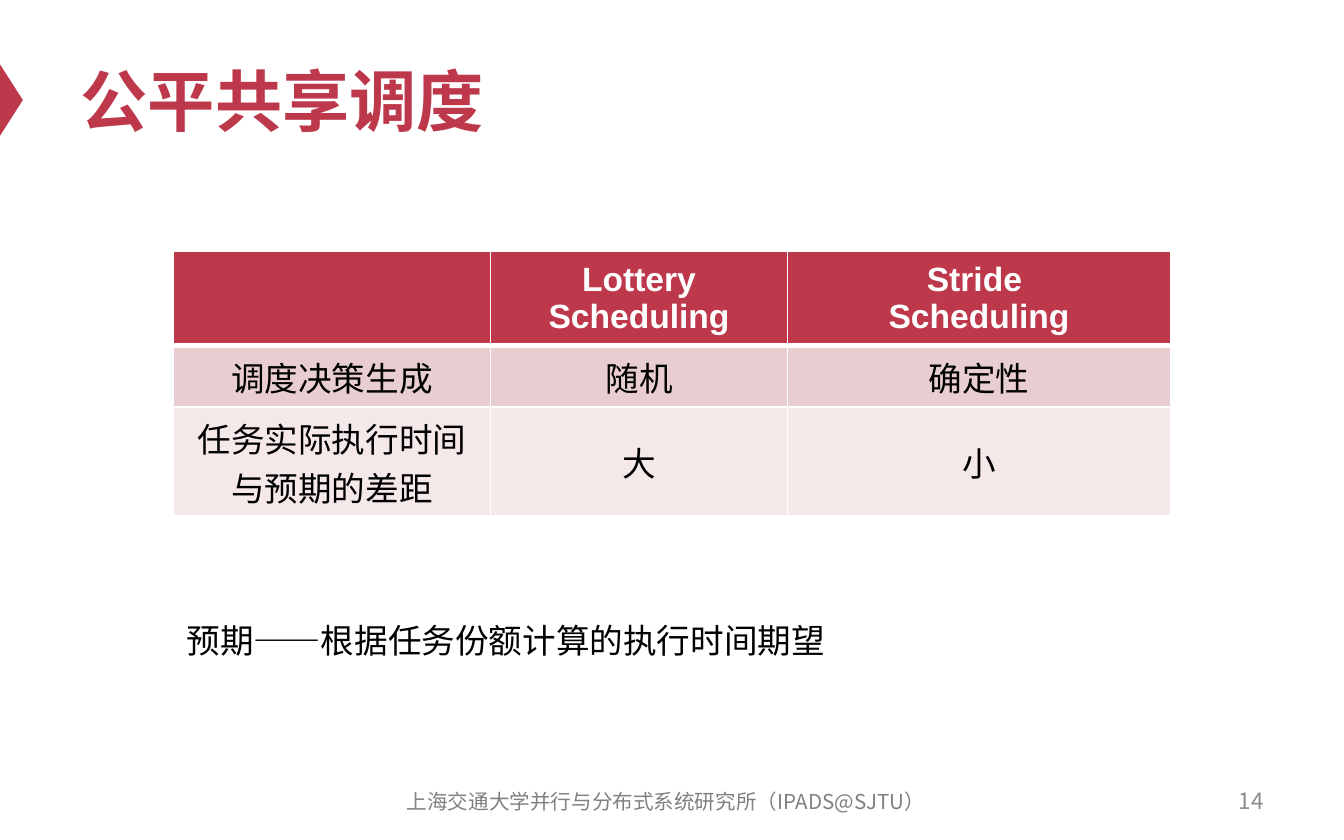
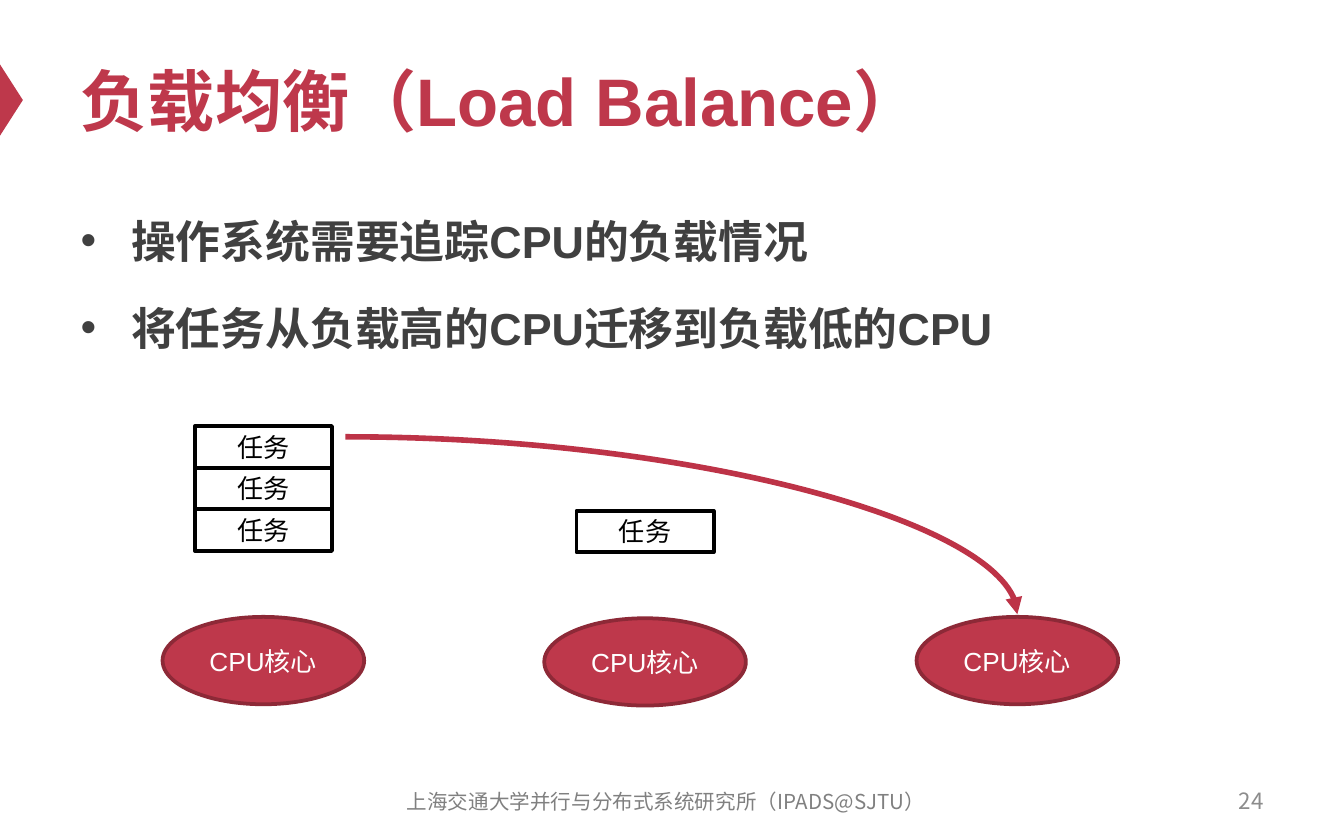
from dataclasses import dataclass

from lxml import etree
from pptx import Presentation
from pptx.dml.color import RGBColor
from pptx.enum.shapes import MSO_CONNECTOR, MSO_SHAPE
from pptx.enum.text import MSO_ANCHOR, MSO_AUTO_SIZE, PP_ALIGN
from pptx.oxml.ns import qn
from pptx.util import Emu, Pt

PX = 9144
LEFT, CENTER, RIGHT = PP_ALIGN.LEFT, PP_ALIGN.CENTER, PP_ALIGN.RIGHT
TOP, MIDDLE = MSO_ANCHOR.TOP, MSO_ANCHOR.MIDDLE
RECTANGLE, OVAL = MSO_SHAPE.RECTANGLE, MSO_SHAPE.OVAL
TRIANGLE = MSO_SHAPE.ISOSCELES_TRIANGLE
CURVE = MSO_CONNECTOR.CURVE
FIT_SHAPE, NO_FIT = MSO_AUTO_SIZE.SHAPE_TO_FIT_TEXT, MSO_AUTO_SIZE.NONE
TITLE_ONLY, TITLE_AND_CONTENT = 5, 1


@dataclass(frozen=True)
class TextStyle:
    """Font settings of one kind of text."""

    size: int
    color: str
    bold: bool = False
    font: str = "Arial"


@dataclass(frozen=True)
class Theme:
    """Colours and type styles shared by the slides."""

    cjk_font: str = "Noto Sans CJK SC"
    red: str = "BE384B"
    dark_red: str = "8D2937"
    arrow_red: str = "BD3347"
    black: str = "000000"
    white: str = "FFFFFF"
    bands: tuple = ("E8CED0", "F4E8E9")
    title: TextStyle = TextStyle(36, "BE384B", True)
    bullet: TextStyle = TextStyle(24, "404040", True)
    header: TextStyle = TextStyle(18, "FFFFFF", True)
    body: TextStyle = TextStyle(18, "000000")
    task: TextStyle = TextStyle(14, "000000")
    core: TextStyle = TextStyle(14, "FFFFFF")
    footer: TextStyle = TextStyle(11, "808080", font="Noto Sans CJK SC")
    number: TextStyle = TextStyle(12, "8C8C8C", font="Noto Sans CJK SC")


THEME = Theme()


def px(*lengths):
    """Turn px lengths into EMU."""
    return [Emu(length * PX) for length in lengths]


def rgb(color):
    """Read a colour from its hex digits."""
    return RGBColor.from_string(color)


def write(frame, text, style, align=LEFT, anchor=MIDDLE):
    """Fill a text frame, one paragraph per line, in one style."""
    frame.text = text
    frame.vertical_anchor = anchor
    for paragraph in frame.paragraphs:
        paragraph.alignment = align
        font = paragraph.font
        font.name, font.size, font.bold = style.font, Pt(style.size), style.bold
        font.color.rgb = rgb(style.color)
        defaults = paragraph._p.pPr.find(qn("a:defRPr"))
        etree.SubElement(defaults, qn("a:ea"), typeface=THEME.cjk_font)


def place(shape, box):
    """Move and size a shape."""
    shape.left, shape.top, shape.width, shape.height = px(*box)


def add_label(slide, box, text, style, align=LEFT, anchor=MIDDLE, wrap=True):
    """Add a text box; without wrapping it grows with its text."""
    frame = slide.shapes.add_textbox(*px(*box)).text_frame
    write(frame, text, style, align, anchor)
    frame.word_wrap = wrap
    if not wrap:
        frame.auto_size = FIT_SHAPE


def add_figure(slide, preset, box, fill=None, outline=None):
    """Add a flat preset shape with optional fill and outline."""
    figure = slide.shapes.add_shape(preset, *px(*box))
    figure.shadow.inherit = False
    if fill:
        figure.fill.solid()
        figure.fill.fore_color.rgb = rgb(fill)
    else:
        figure.fill.background()
    if outline:
        figure.line.color.rgb = rgb(outline)
        figure.line.width = Pt(2)
    else:
        figure.line.fill.background()
    return figure


def add_task(slide, left, top):
    """Add one outlined task box."""
    task = add_figure(slide, RECTANGLE, (left, top, 102, 31), outline=THEME.black)
    write(task.text_frame, "任务", THEME.task, CENTER)


def add_core(slide, left, top):
    """Add one CPU core."""
    core = add_figure(slide, OVAL, (left, top, 150, 65), THEME.red, THEME.dark_red)
    write(core.text_frame, "CPU核心", THEME.core, CENTER)


def add_migration_arrow(slide, start, end):
    """Add a quarter-curve arrow that leaves sideways and lands downwards."""
    arrow = slide.shapes.add_connector(CURVE, *px(*start, *end))
    arrow.line.color.rgb = rgb(THEME.arrow_red)
    arrow.line.width = Pt(3)
    properties = arrow._element.spPr
    properties.find(qn("a:prstGeom")).set("prst", "curvedConnector2")
    etree.SubElement(properties.find(qn("a:ln")), qn("a:tailEnd"), type="triangle")
    etree.SubElement(properties, qn("a:effectLst"))


def set_borders(cell, widths):
    """Give a cell white borders with the widths by side."""
    cell_properties = cell._tc.get_or_add_tcPr()
    for side, width in widths.items():
        border = etree.SubElement(
            cell_properties, qn(f"a:ln{side}"), w=str(Pt(width))
        )
        fill = etree.SubElement(border, qn("a:solidFill"))
        etree.SubElement(fill, qn("a:srgbClr"), val=THEME.white)


def add_comparison(slide, left, top, widths, heights, rows):
    """Add a table with a red header and tinted rows."""
    box = px(left, top, sum(widths), sum(heights))
    table = slide.shapes.add_table(len(rows), len(widths), *box).table
    for column, width in zip(table.columns, px(*widths)):
        column.width = width
    for row, height in zip(table.rows, px(*heights)):
        row.height = height
    fills = (THEME.red, *THEME.bands)
    for r, texts in enumerate(rows):
        style = THEME.body if r else THEME.header
        sides = {"L": 1, "R": 1, "T": 3 if r == 1 else 1, "B": 1 if r else 3}
        for c, text in enumerate(texts):
            cell = table.cell(r, c)
            set_borders(cell, sides)
            cell.fill.solid()
            cell.fill.fore_color.rgb = rgb(fills[r])
            write(cell.text_frame, text, style, CENTER)
            cell.vertical_anchor = MIDDLE


def add_page(deck, layout, title, number):
    """Add a slide with its marker, title, footer and number."""
    slide = deck.slides.add_slide(deck.slide_layouts[layout])
    marker = add_figure(slide, TRIANGLE, (-18, 66, 53, 17), THEME.red)
    marker.rotation = 90
    heading = slide.shapes.title
    place(heading, (50, 25, 900, 98))
    write(heading.text_frame, title, THEME.title)
    add_label(slide, (717, 579, 233, 33), str(number), THEME.number, RIGHT)
    institute = "上海交通大学并行与分布式系统研究所（IPADS@SJTU）"
    add_label(slide, (279, 580, 433, 33), institute, THEME.footer, CENTER)
    return slide


def fill_bullets(slide, lines):
    """Write the list into the body placeholder."""
    body = slide.placeholders[1]
    place(body, (50, 146, 900, 412))
    frame = body.text_frame
    write(frame, "\n".join(lines), THEME.bullet, anchor=TOP)
    frame.auto_size = NO_FIT
    for paragraph in frame.paragraphs:
        paragraph.line_spacing = 1.2
        paragraph.space_before = Pt(12)


def build_fair_share(deck):
    """Compare lottery and stride scheduling."""
    slide = add_page(deck, TITLE_ONLY, "公平共享调度", 14)
    rows = [
        ("", "Lottery\nScheduling", "Stride \nScheduling"),
        ("调度决策生成", "随机", "确定性"),
        ("任务实际执行时间与预期的差距", "大", "小"),
    ]
    add_comparison(slide, 129, 187, (236, 221, 285), (66, 46, 81), rows)
    note = "预期——根据任务份额计算的执行时间期望"
    add_label(slide, (129, 456, 503, 40), note, THEME.body, anchor=TOP, wrap=False)


def build_load_balance(deck):
    """Show a task moving from a busy core to an idle one."""
    slide = add_page(deck, TITLE_AND_CONTENT, "负载均衡（Load Balance）", 24)
    fill_bullets(
        slide,
        ["操作系统需要追踪CPU的负载情况", "将任务从负载高的CPU迁移到负载低的CPU"],
    )
    cores = [(121, 459, 3), (405, 460, 1), (682, 459, 0)]
    for left, top, task_count in cores:
        for level in range(task_count):
            add_task(slide, left + 24, top - 80 - 31 * level)
        add_core(slide, left, top)
    add_migration_arrow(slide, (257, 325), (757, 457))


def main():
    """Build and save the deck."""
    deck = Presentation()
    deck.slide_width, deck.slide_height = px(1000, 625)
    build_fair_share(deck)
    build_load_balance(deck)
    deck.save("out.pptx")


if __name__ == "__main__":
    main()
